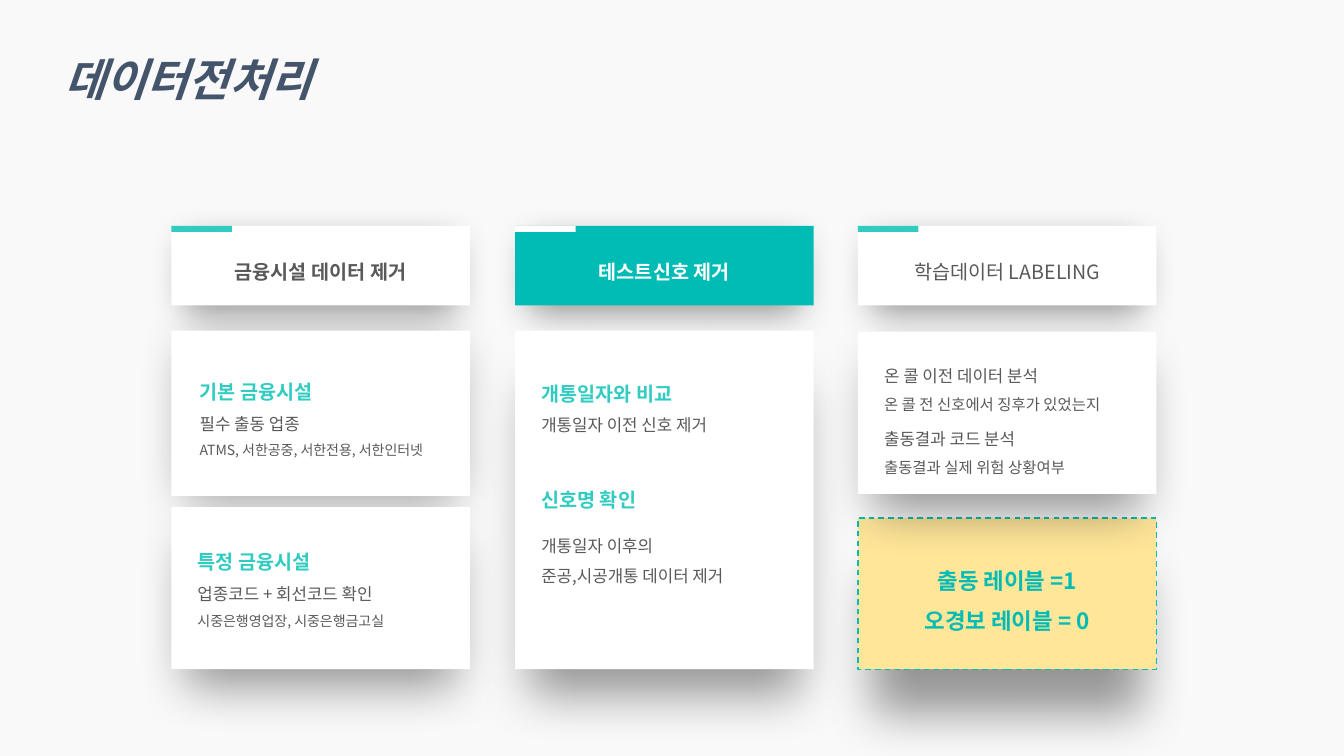
from dataclasses import dataclass

from lxml import etree
from pptx import Presentation
from pptx.dml.color import RGBColor
from pptx.enum.dml import MSO_LINE
from pptx.enum.shapes import MSO_SHAPE
from pptx.enum.text import MSO_ANCHOR as Anchor, PP_ALIGN as Align
from pptx.oxml import parse_xml
from pptx.oxml.ns import nsdecls, qn
from pptx.util import Inches, Pt


@dataclass(frozen=True)
class Theme:
    font: str = "Noto Sans CJK KR"
    background: str = "F9F9F9"
    navy: str = "44546A"
    gray: str = "595959"
    white: str = "FFFFFF"
    teal: str = "01BCB5"
    mint: str = "30CCC1"
    yellow: str = "FFE699"
    title: int = 32
    result: int = 16
    heading: int = 14
    body: int = 12
    note: int = 11
    detail: int = 10


theme = Theme()

# Text styles: size, colour, bold
HEADING = (theme.heading, theme.mint, True)
BODY = (theme.body, theme.gray, False)
NOTE = (theme.note, theme.gray, False)
DETAIL = (theme.detail, theme.gray, False)
RESULT = (theme.result, theme.teal, True)

COLUMN_LEFTS = (1.7, 5.11, 8.51)
CARD_WIDTH = 2.96
HEADER_TOP, HEADER_HEIGHT = 2.24, 0.79


def add_block(left, top, width, height, color, shadow=None):
    """Add a plain rectangle; shadow is its (blur, distance) in points."""
    block = slide.shapes.add_shape(
        MSO_SHAPE.RECTANGLE, Inches(left), Inches(top), Inches(width), Inches(height))
    block.fill.solid()
    block.fill.fore_color.rgb = RGBColor.from_string(color)
    block.line.fill.background()
    block.shadow.inherit = False
    if shadow:
        blur, distance = shadow
        effects = block._element.spPr.find(qn("a:effectLst"))
        effects.append(parse_xml(
            f'<a:outerShdw {nsdecls("a")} blurRad="{Pt(blur)}" dist="{Pt(distance)}" '
            'dir="5400000" sx="90000" sy="90000" algn="t" rotWithShape="0">'
            '<a:srgbClr val="000000"><a:alpha val="40000"/></a:srgbClr></a:outerShdw>'))
    return block


def write_lines(shape, lines, align=Align.LEFT, anchor=Anchor.TOP):
    """Fill a shape with (text, style) lines, one paragraph each."""
    frame = shape.text_frame
    frame.word_wrap = True
    frame.vertical_anchor = anchor
    frame.text = "\n".join(text for text, style in lines)
    for paragraph, (text, (size, color, bold)) in zip(frame.paragraphs, lines):
        paragraph.alignment = align
        paragraph.line_spacing = 1.5
        paragraph.space_before = Pt(0)
        font = paragraph.font
        font.name, font.size, font.bold = theme.font, Pt(size), bold
        font.color.rgb = RGBColor.from_string(color)
        for run in paragraph.runs:
            east_asian = etree.SubElement(run._r.get_or_add_rPr(), qn("a:ea"))
            east_asian.set("typeface", theme.font)
    return frame


presentation = Presentation()
presentation.slide_width = Inches(13.33)
presentation.slide_height = Inches(7.5)
slide = presentation.slides.add_slide(presentation.slide_layouts[5])
slide.background.fill.solid()
slide.background.fill.fore_color.rgb = RGBColor.from_string(theme.background)

title = slide.shapes.title
title.left, title.top = Inches(-0.83), Inches(0.2)
title.width, title.height = Inches(5.39), Inches(0.83)
title_frame = write_lines(
    title, [("데이터전처리", (theme.title, theme.navy, True))], Align.CENTER)
title_frame.paragraphs[0].font.italic = True

# Column headers: text, fill, tab colour, text colour, bold
headers = [
    ("금융시설 데이터 제거", theme.white, theme.mint, theme.gray, True),
    ("테스트신호 제거", theme.teal, theme.white, theme.white, True),
    ("학습데이터 LABELING", theme.white, theme.mint, theme.gray, False),
]
for left, (text, fill, tab_color, text_color, bold) in zip(COLUMN_LEFTS, headers):
    header = add_block(left, HEADER_TOP, CARD_WIDTH, HEADER_HEIGHT, fill, (26, 11))
    write_lines(header, [(text, (theme.heading, text_color, bold))],
                Align.CENTER, Anchor.MIDDLE)
    add_block(left, HEADER_TOP, 0.6, 0.06, tab_color)

# Cards, back to front: column, top, height, fill, shadow distance
cards = [
    (1, 3.28, 3.36, theme.white, 42),
    (0, 3.28, 1.64, theme.white, 13),
    (2, 5.14, 1.5, theme.yellow, 42),
    (0, 5.03, 1.61, theme.white, 24),
    (2, 3.29, 1.61, theme.white, 24),
]
test_card, basic_card, label_card, special_card, analysis_card = [
    add_block(COLUMN_LEFTS[column], top, CARD_WIDTH, height, fill, (36, distance))
    for column, top, height, fill, distance in cards
]

basic_frame = write_lines(basic_card, [
    ("기본 금융시설", HEADING),
    ("필수 출동 업종", BODY),
    ("ATMS, 서한공중, 서한전용, 서한인터넷", DETAIL),
], anchor=Anchor.MIDDLE)
basic_frame.margin_left = basic_frame.margin_right = Inches(0.28)

label_card.line.color.rgb = RGBColor.from_string(theme.teal)
label_card.line.width = Pt(1)
label_card.line.dash_style = MSO_LINE.DASH
write_lines(label_card, [("출동 레이블 =1", RESULT), ("오경보 레이블 = 0", RESULT)],
            Align.CENTER, Anchor.MIDDLE)

# Text laid over the cards: column, top, height, lines
notes = [
    (0, 5.29, 0.99, [("특정 금융시설", HEADING),
                     ("업종코드 + 회선코드 확인", BODY),
                     ("시중은행영업장, 시중은행금고실", DETAIL)]),
    (1, 3.62, 0.96, [("개통일자와 비교", HEADING),
                     ("개통일자 이전 신호 제거", BODY)]),
    (2, 3.48, 0.65, [("온 콜 이전 데이터 분석", BODY),
                     ("온 콜 전 신호에서 징후가 있었는지", NOTE)]),
    (2, 4.1, 0.68, [("출동결과 코드 분석", BODY),
                    ("출동결과 실제 위험 상황여부", NOTE)]),
    (1, 4.79, 1.03, [("신호명 확인", HEADING),
                     ("개통일자 이후의", BODY),
                     ("준공,시공개통 데이터 제거", BODY)]),
]
for column, top, height, lines in notes:
    box = slide.shapes.add_textbox(
        Inches(COLUMN_LEFTS[column] + 0.16), Inches(top), Inches(2.61), Inches(height))
    note_frame = write_lines(box, lines)

# The last note sets its heading tighter, with a gap below
signal_heading = note_frame.paragraphs[0]
signal_heading.line_spacing = 1.0
signal_heading.space_after = Pt(10)

presentation.save("out.pptx")
